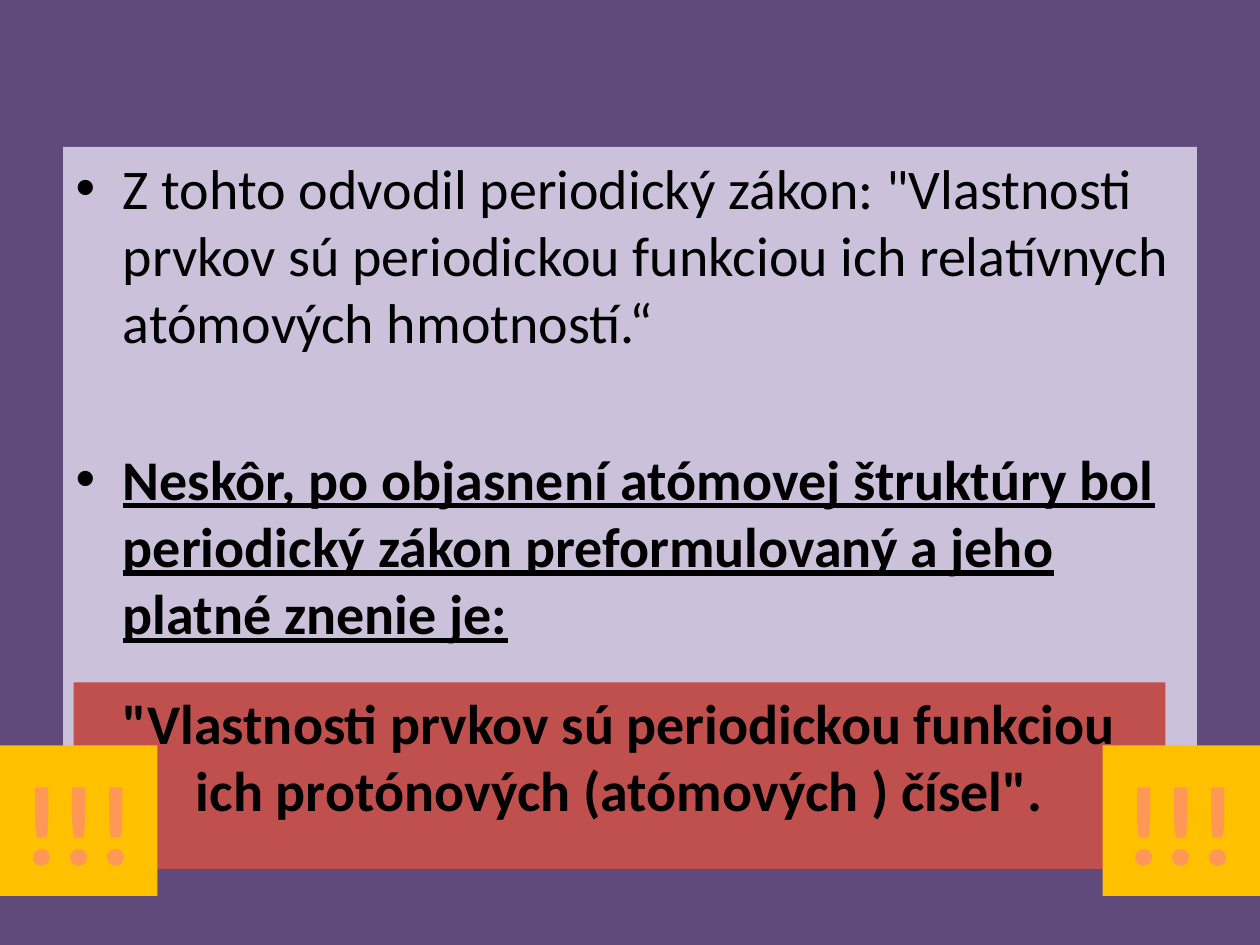
from pptx import Presentation
from pptx.dml.color import RGBColor
from pptx.enum.shapes import MSO_SHAPE
from pptx.enum.text import MSO_ANCHOR, PP_ALIGN
from pptx.util import Pt

PURPLE = RGBColor(0x60, 0x4A, 0x7B)
LILAC = RGBColor(0xCC, 0xC1, 0xDA)
RED = RGBColor(0xC0, 0x50, 0x4D)
AMBER = RGBColor(0xFF, 0xC0, 0x00)
ORANGE = RGBColor(0xFF, 0x98, 0x56)
BLACK = RGBColor(0, 0, 0)

WIDTH, HEIGHT = 720, 540
BADGE_W = 90


def write(p, text, size=32, color=BLACK, bold=False, underline=False):
    r = p.add_run()
    r.text = text
    f = r.font
    f.name, f.size, f.bold, f.underline = "Calibri", Pt(size), bold, underline
    f.color.rgb = color


class Deck:
    def __init__(self, prs):
        self.prs = prs
        self.s = None

    def add_slide(self, background):
        self.s = self.prs.slides.add_slide(self.prs.slide_layouts[1])
        title = self.s.shapes.title
        title.element.getparent().remove(title.element)
        fill = self.s.background.fill
        fill.solid()
        fill.fore_color.rgb = background

    def body(self, x, y, w, h, fill):
        sp = self.s.placeholders[1]
        sp.left, sp.top, sp.width, sp.height = Pt(x), Pt(y), Pt(w), Pt(h)
        sp.fill.solid()
        sp.fill.fore_color.rgb = fill
        return sp.text_frame

    def box(self, x, y, w, h, fill, text, **style):
        sp = self.s.shapes.add_shape(MSO_SHAPE.RECTANGLE, Pt(x), Pt(y), Pt(w), Pt(h))
        sp.shadow.inherit = False
        sp.fill.solid()
        sp.fill.fore_color.rgb = fill
        sp.line.fill.background()
        tf = sp.text_frame
        tf.word_wrap = True
        tf.vertical_anchor = MSO_ANCHOR.TOP
        p = tf.paragraphs[0]
        p.alignment = PP_ALIGN.CENTER
        write(p, text, bold=True, **style)


def main():
    prs = Presentation()
    prs.slide_width, prs.slide_height = Pt(WIDTH), Pt(HEIGHT)
    deck = Deck(prs)
    deck.add_slide(PURPLE)

    tf = deck.body(36, 84, 648, 398, LILAC)
    write(tf.paragraphs[0], 'Z tohto odvodil periodický zákon: "Vlastnosti prvkov sú '
          'periodickou funkciou ich relatívnych atómových hmotností.“')
    p = tf.add_paragraph()
    p.space_before = Pt(51)
    write(p, "Neskôr, po objasnení atómovej štruktúry bol periodický zákon "
          "preformulovaný a jeho platné znenie je:", bold=True, underline=True)

    deck.box(42, 390, 624, 106.5, RED, '"Vlastnosti prvkov sú periodickou funkciou '
             'ich protónových (atómových ) čísel".')
    for x in (WIDTH - BADGE_W, 0):
        deck.box(x, 426, BADGE_W, 86, AMBER, "!!!", size=65, color=ORANGE)

    prs.save("out.pptx")


if __name__ == "__main__":
    main()
